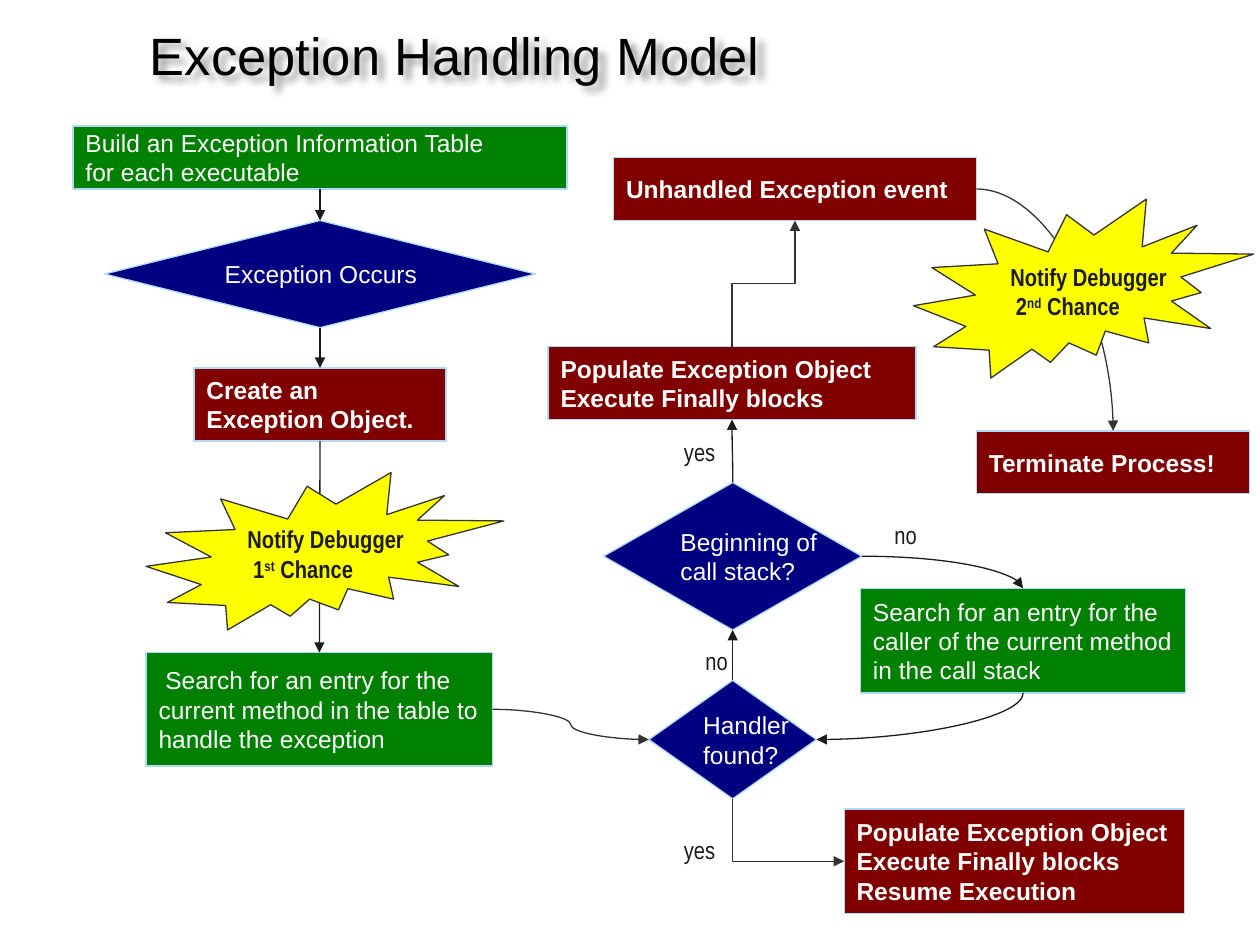
from lxml import etree
from pptx import Presentation
from pptx import util as u
from pptx.dml.color import RGBColor
from pptx.enum import shapes, text
from pptx.oxml.ns import qn

COLOURS = {
    "green": "008000", "navy": "000080", "maroon": "800000", "yellow": "FFFF00",
    "outline": "AFDAF6", "ink": "1C1C1C", "grey": "333333",
    "white": "FFFFFF", "black": "000000",
}
RECT = shapes.MSO_SHAPE.RECTANGLE
DIAMOND = shapes.MSO_SHAPE.DIAMOND
SEAL = shapes.MSO_SHAPE.EXPLOSION2
SIDES = ["top", "left", "bottom", "right"]

# name: (shape, fill, bold, (left, top, width, height), lines)
STEPS = {
    "build": (RECT, "green", False, (0.58, 1, 3.92, 0.5),
              ["Build an Exception Information Table", "for each executable"]),
    "search": (RECT, "green", False, (1.16, 5.18, 2.75, 0.9),
               [" Search for an entry for the current method in the table"
                " to handle the exception"]),
    "handler": (DIAMOND, "navy", False, (5.15, 5.4, 1.33, 0.94),
                ["Handler", "found?"]),
    "create": (RECT, "maroon", True, (1.54, 2.92, 2, 0.58),
               ["Create an", "Exception Object."]),
    "caller": (RECT, "green", False, (6.83, 4.67, 2.58, 0.83),
               ["Search for an entry for the", "caller of the current method",
                "in the call stack"]),
    "occurs": (DIAMOND, "navy", False, (0.83, 1.75, 3.42, 0.85),
               ["Exception Occurs"]),
    "stack": (DIAMOND, "navy", False, (4.79, 3.83, 2.05, 1.17),
              ["Beginning of", "call stack?"]),
    "populate": (RECT, "maroon", True, (4.35, 2.75, 2.92, 0.58),
                 ["Populate Exception Object", "Execute Finally blocks"]),
    "resume": (RECT, "maroon", True, (6.7, 6.42, 2.7, 0.83),
               ["Populate Exception Object", "Execute Finally blocks",
                "Resume Execution"]),
    "unhandled": (RECT, "maroon", True, (4.87, 1.25, 2.88, 0.5),
                  ["Unhandled Exception event"]),
    "terminate": (RECT, "maroon", True, (7.75, 3.42, 2.17, 0.5),
                  ["Terminate Process!"]),
}

# (preset, start step, side, end step, side, colour)
ARROWS = [
    ("line", "build", "bottom", "occurs", "top", "ink"),
    ("line", "occurs", "bottom", "create", "top", "ink"),
    ("line", "create", "bottom", "search", "top", "ink"),
    ("line", "handler", "top", "stack", "bottom", "ink"),
    ("curvedConnector3", "stack", "top", "populate", "bottom", "ink"),
    ("curvedConnector2", "caller", "bottom", "handler", "right", "ink"),
    ("curvedConnector2", "stack", "right", "caller", "top", "ink"),
    ("bentConnector2", "handler", "bottom", "resume", "left", "grey"),
    ("bentConnector3", "populate", "top", "unhandled", "bottom", "grey"),
    ("curvedConnector3", "search", "right", "handler", "left", "grey"),
    ("curvedConnector2", "unhandled", "right", "terminate", "top", "grey"),
]

LABELS = [
    ("no", 5.5, 5.08, 0.5), ("no", 7, 4.08, 0.5),
    ("yes", 5.33, 6.58, 0.5), ("yes", 5.33, 3.42, 0.58),
]

# (ordinal, suffix, (left, top, width, height))
CHANCES = [
    ("1", "st", (1.16, 3.75, 2.84, 1.25)),
    ("2", "nd", (7.25, 1.58, 2.7, 1.42)),
]


def rgb(name):
    return RGBColor.from_string(COLOURS[name])


def style(para, colour, font="Arial", size=14, bold=False):
    para.alignment = text.PP_ALIGN.LEFT
    para.font.name = font
    para.font.size = u.Pt(size)
    para.font.bold = bold
    para.font.color.rgb = rgb(colour)


def add_title(slide, words):
    title = slide.shapes.title
    title.left, title.top = u.Inches(1.09), u.Inches(0.13)
    title.width, title.height = u.Inches(7.34), u.Inches(0.87)
    title.text_frame.text = words
    title.text_frame.vertical_anchor = text.MSO_ANCHOR.TOP
    style(title.text_frame.paragraphs[0], "black", size=30)
    effects = etree.SubElement(title.element.spPr, qn("a:effectLst"))
    shadow = etree.SubElement(effects, qn("a:outerShdw"), blurRad="50800",
                              dist="53900", dir="2700000", algn="tl")
    shade = etree.SubElement(shadow, qn("a:srgbClr"), val=COLOURS["black"])
    etree.SubElement(shade, qn("a:alpha"), val="40000")


def add_box(slide, kind, place, fill, outline):
    box = slide.shapes.add_shape(kind, *map(u.Inches, place))
    box.shadow.inherit = False
    box.fill.solid()
    box.fill.fore_color.rgb = rgb(fill)
    box.line.color.rgb = rgb(outline)
    box.line.width = u.Pt(0.75)
    box.text_frame.vertical_anchor = text.MSO_ANCHOR.MIDDLE
    box.text_frame.word_wrap = False
    return box


def add_step(slide, kind, fill, bold, place, lines):
    box = add_box(slide, kind, place, fill, "outline")
    box.text_frame.text = "\n".join(lines)
    box.text_frame.word_wrap = len(lines) == 1 and kind == RECT
    for para in box.text_frame.paragraphs:
        style(para, "white", bold=bold)
    return box


def add_chance(slide, ordinal, suffix, place):
    frame = add_box(slide, SEAL, place, "yellow", "grey").text_frame
    frame.text = "Notify Debugger"
    para = frame.add_paragraph()
    for words in (f" {ordinal}", suffix, " Chance"):
        para.add_run().text = words
    para.runs[1].font._element.set("baseline", "30000")
    for para in frame.paragraphs:
        style(para, "ink", "Arial Narrow", bold=True)


def add_label(slide, words, left, top, width):
    box = slide.shapes.add_textbox(*map(u.Inches, (left, top, width, 0.33)))
    box.text_frame.word_wrap = True
    box.text_frame.text = words
    style(box.text_frame.paragraphs[0], "ink", "Arial Narrow")


def turn(arrow, start_side):
    """Rotate a connector about its centre so that it leaves upright."""
    across = arrow.end_x - arrow.begin_x
    down = arrow.end_y - arrow.begin_y
    centre_x = (arrow.begin_x + arrow.end_x) // 2
    centre_y = (arrow.begin_y + arrow.end_y) // 2
    xfrm = arrow.element.spPr.find(qn("a:xfrm"))
    for flip in ("flipH", "flipV"):
        xfrm.attrib.pop(flip, None)
    arrow.width, arrow.height = abs(down), abs(across)
    arrow.left = centre_x - arrow.width // 2
    arrow.top = centre_y - arrow.height // 2
    arrow.rotation = 90 if start_side == "bottom" else 270
    if (across > 0) == (down > 0):
        xfrm.set("flipV", "1")


def add_arrow(slide, preset, start, start_side, end, end_side, colour):
    arrow = slide.shapes.add_connector(shapes.MSO_CONNECTOR.STRAIGHT, 0, 0, 0, 0)
    arrow.begin_connect(start, SIDES.index(start_side))
    arrow.end_connect(end, SIDES.index(end_side))
    properties = arrow.element.spPr
    properties.find(qn("a:prstGeom")).set("prst", preset)
    if preset != "line" and start_side in ("top", "bottom"):
        turn(arrow, start_side)
    arrow.line.color.rgb = rgb(colour)
    arrow.line.width = u.Pt(0.75)
    etree.SubElement(properties.find(qn("a:ln")), qn("a:tailEnd"), type="triangle")
    etree.SubElement(properties, qn("a:effectLst"))


def main():
    deck = Presentation()
    deck.slide_width, deck.slide_height = u.Inches(10), u.Inches(7.5)
    slide = deck.slides.add_slide(deck.slide_layouts[5])
    add_title(slide, "Exception Handling Model")
    steps = {name: add_step(slide, *step) for name, step in STEPS.items()}
    for label in LABELS:
        add_label(slide, *label)
    for preset, start, start_side, end, end_side, colour in ARROWS:
        add_arrow(slide, preset, steps[start], start_side,
                  steps[end], end_side, colour)
    for chance in CHANCES:
        add_chance(slide, *chance)
    deck.save("out.pptx")


if __name__ == "__main__":
    main()
